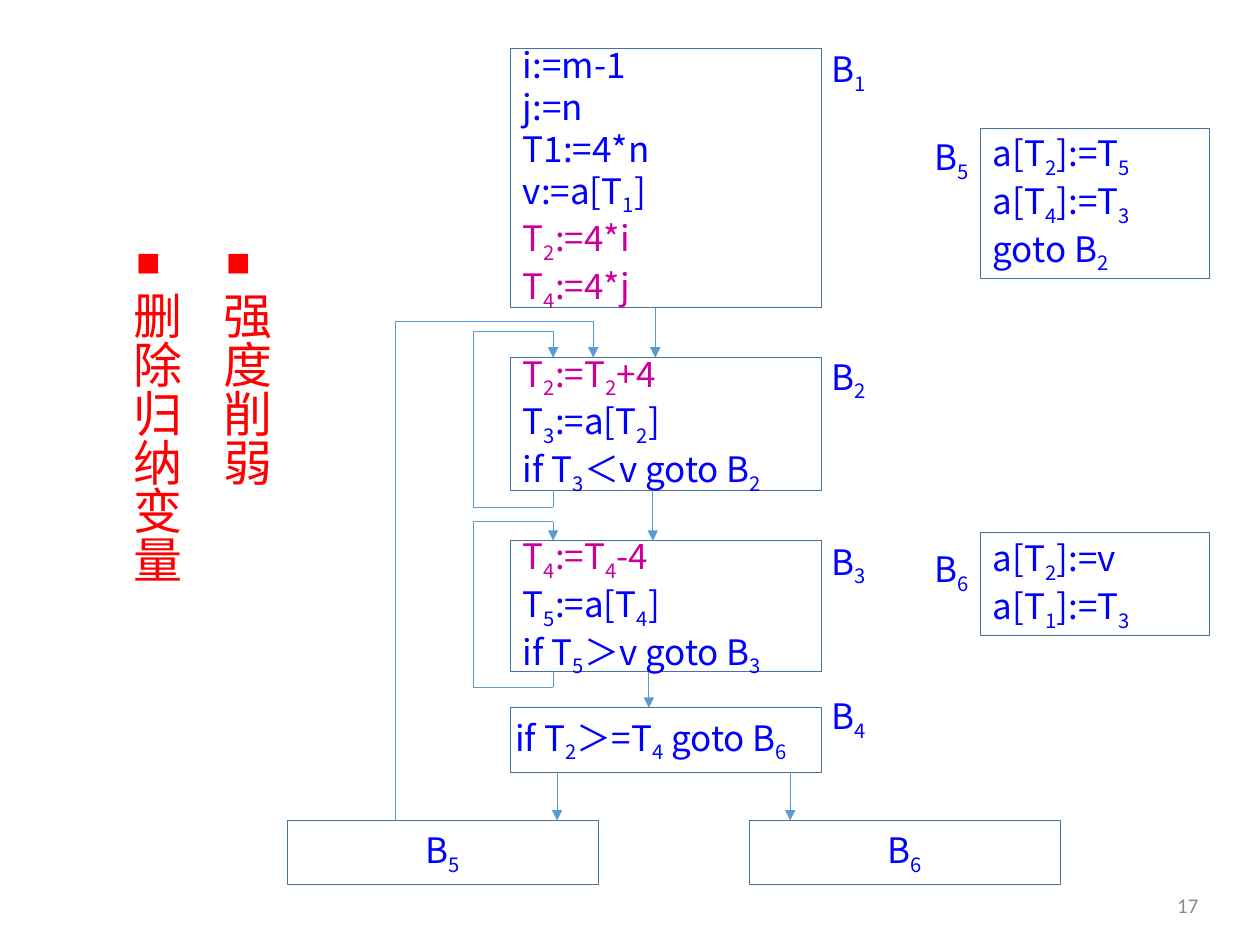
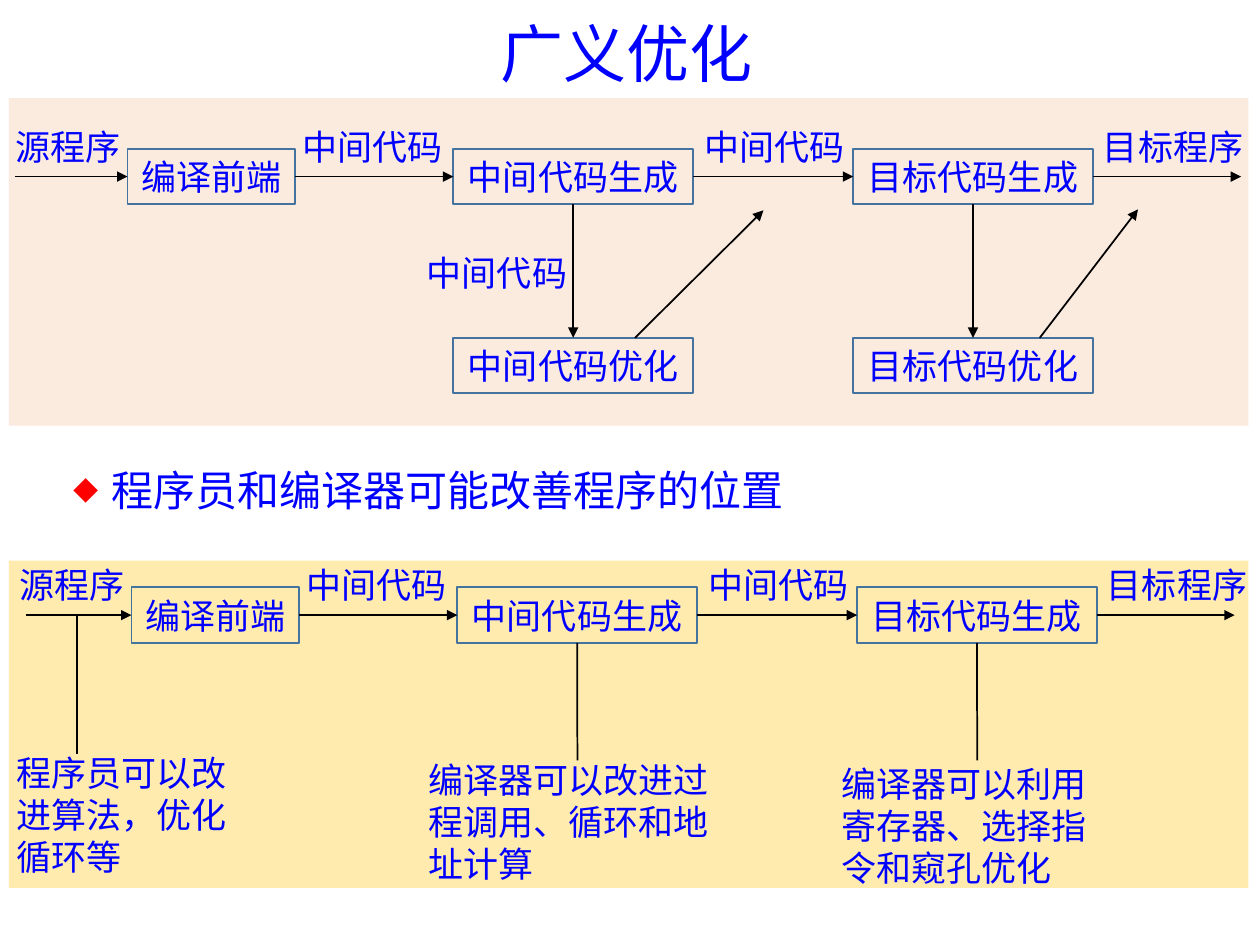
"""Build two slides: an optimised flow graph and an overview of optimisation in the broad sense."""
from pptx import Presentation
from pptx.dml.color import RGBColor
from pptx.enum.shapes import MSO_CONNECTOR as CONN, MSO_SHAPE as SHAPE
from pptx.enum.text import MSO_ANCHOR as ANCHOR, PP_ALIGN as ALIGN
from pptx.oxml import parse_xml
from pptx.oxml.ns import nsdecls, qn
from pptx.util import Cm, Pt

rgb = RGBColor.from_string
BLUE, RED, MAGENTA, GREY = "0000FF", "FF0000", "CC0099", "8C8C8C"
EDGE, FLOW, BLACK = "43739E", "5B9BD5", "000000"
SANS = "Noto Sans CJK SC"
INDUCTION = {"T_2:=4*i", "T_4:=4*j", "T_2:=T_2+4", "T_4:=T_4-4"}


def box(s, at, lines, kind=None, edge=None, fill=None, size=20, font=SANS,
        colour=BLUE, align=ALIGN.CENTER, bullet=None, inset=0.25):
    """Add a text box or shape; an underscore lowers the character after it."""
    at = [Cm(v) for v in at]
    if kind is None:
        sp = s.shapes.add_textbox(*at)
    else:
        sp = s.shapes.add_shape(kind, *at)
        sp.shadow.inherit = False
        sp.fill.background()
        sp.line.fill.background()
    if fill:
        sp.fill.solid()
        sp.fill.fore_color.rgb = rgb(fill)
        clr = sp._element.spPr.find(".//" + qn("a:srgbClr"))
        clr.append(parse_xml(f'<a:alpha {nsdecls("a")} val="79000"/>'))
    if edge:
        sp.line.color.rgb = rgb(EDGE)
        sp.line.width = Pt(edge)
    tf = sp.text_frame
    tf.word_wrap = True
    tf.vertical_anchor = ANCHOR.MIDDLE
    tf.margin_left = tf.margin_right = Cm(inset)
    for i, line in enumerate(lines):
        p = tf.paragraphs[0] if i == 0 else tf.add_paragraph()
        p.alignment = align
        if bullet:
            char, percent, hang, tint = bullet
            pPr = p._p.get_or_add_pPr()
            pPr.set("marL", str(Cm(hang)))
            pPr.set("indent", str(-Cm(hang)))
            for xml in (f'buClr {nsdecls("a")}><a:srgbClr val="{tint}"/></a:buClr>',
                        f'buSzPct {nsdecls("a")} val="{percent * 1000}"/>',
                        f'buFont {nsdecls("a")} typeface="{SANS}"/>',
                        f'buChar {nsdecls("a")} char="{char}"/>'):
                pPr.append(parse_xml("<a:" + xml))
        first, *rest = line.split("_")
        pieces = [(first, False)]
        for part in rest:
            pieces += [(part[0], True), (part[1:], False)]
        for text, lowered in pieces:
            if not text:
                continue
            r = p.add_run()
            r.text = text
            r.font.size = Pt(size)
            r.font.name = font
            r.font.color.rgb = rgb(MAGENTA if line in INDUCTION else colour)
            rPr = r._r.get_or_add_rPr()
            rPr.append(parse_xml(f'<a:ea {nsdecls("a")} typeface="{font}"/>'))
            if lowered:
                rPr.set("baseline", "-25000")
    return sp


def link(s, start, end, colour=BLACK, width=1, head=True):
    """Add a straight connector, with an arrowhead at its end if asked."""
    c = s.shapes.add_connector(CONN.STRAIGHT, *[Cm(v) for v in (*start, *end)])
    c.line.color.rgb = rgb(colour)
    c.line.width = Pt(width)
    if head:
        c.line._get_or_add_ln().append(parse_xml(f'<a:tailEnd {nsdecls("a")} type="triangle"/>'))
    c._element.spPr.append(parse_xml(f'<a:effectLst {nsdecls("a")}/>'))
    return c


prs = Presentation()
prs.slide_width, prs.slide_height = Cm(25.4), Cm(19.05)
blank = prs.slide_layouts[6]

s = prs.slides.add_slide(blank)
sp = box(s, (1.75, 4.98, 4.06, 8.2), ["强度削弱", "删除归纳变量"], size=28, colour=RED,
         align=ALIGN.LEFT, bullet=("■", 50, 0.64, RED))
tf = sp.text_frame
tf.vertical_anchor = ANCHOR.TOP
tf._txBody.bodyPr.set("vert", "eaVert")
for p in tf.paragraphs:
    p.space_after = Pt(18)
box(s, (23.01, 17.73, 1.4, 1.02), ["17"], size=12, font="Calibri", colour=GREY, align=ALIGN.RIGHT)

blocks = [
    ((10.29, 0.97, 6.27, 5.23), 0.25,
     ["i:=m-1", "j:=n", "T1:=4*n", "v:=a[T_1]", "T_2:=4*i", "T_4:=4*j"]),
    ((10.29, 7.21, 6.27, 2.67), 0.25, ["T_2:=T_2+4", "T_3:=a[T_2]", "if T_3＜v goto B_2"]),
    ((10.29, 10.9, 6.27, 2.64), 0.25, ["T_4:=T_4-4", "T_5:=a[T_4]", "if T_5＞v goto B_3"]),
    ((10.29, 14.27, 6.27, 1.3), 0.1, ["if T_2＞=T_4 goto B_6"]),
    ((19.76, 2.59, 4.62, 3.02), 0.25, ["a[T_2]:=T_5", "a[T_4]:=T_3", "goto B_2"]),
    ((19.76, 10.74, 4.62, 2.08), 0.25, ["a[T_2]:=v", "a[T_1]:=T_3"]),
]
for at, inset, code in blocks:
    box(s, at, code, SHAPE.RECTANGLE, edge=0.5, align=ALIGN.LEFT, inset=inset)
for x, name in ((5.79, "B_5"), (15.11, "B_6")):
    box(s, (x, 16.54, 6.27, 1.3), [name], SHAPE.RECTANGLE, edge=0.5)
block_labels = [(15.95, 0.79), (15.95, 6.99), (15.95, 10.72), (15.95, 13.84),
                (18.03, 2.57), (18.03, 10.87)]
for n, (x, y) in enumerate(block_labels, 1):
    box(s, (x, y, 2.31, 1.3), [f"B_{n}"])

routes = [[(7.98, 16.54), (7.98, 6.48), (11.96, 6.48), (11.96, 7.21)]]
for bottom, low, high, top in ((9.88, 10.22, 6.68, 7.21), (13.54, 13.85, 10.52, 10.9)):
    routes.append([(11.15, bottom), (11.15, low), (9.54, low),
                   (9.54, high), (11.15, high), (11.15, top)])
for x, y1, y2 in ((13.21, 6.2, 7.21), (13.16, 9.88, 10.9), (13.08, 13.54, 14.27),
                  (11.23, 15.57, 16.54), (15.93, 15.57, 16.54)):
    routes.append([(x, y1), (x, y2)])
for route in routes:
    for start, end in zip(route, route[1:]):
        link(s, start, end, FLOW, 0.5, head=end == route[-1])

s = prs.slides.add_slide(blank)
for y, tint in ((11.3, "FFE699"), (1.98, "FBE5D6")):
    box(s, (0.18, y, 24.99, 6.6), [], SHAPE.RECTANGLE, fill=tint)
title = box(s, (1.68, 0.41, 21.89, 1.47), ["广义优化"], size=36, font="Noto Sans CJK JP")
title.text_frame.paragraphs[0].line_spacing = 0.9
PROCESS = SHAPE.FLOWCHART_PROCESS
box(s, (1.24, 9.19, 14.88, 1.37), ["程序员和编译器可能改善程序的位置"], PROCESS, size=24,
    align=ALIGN.LEFT, bullet=("◆", 60, 0.76, RED))

pipelines = []
for dx, dy, x_in, x_out in ((0, 0, 0.3, 25.02), (0.08, 8.84, 0.53, 24.89)):
    stages = [box(s, (x + dx, 3 + dy, w, 1.12), [name], PROCESS, edge=1)
              for x, w, name in ((2.57, 3.38, "编译前端"), (9.14, 4.83, "中间代码生成"),
                                 (17.2, 4.83, "目标代码生成"))]
    for x, w, name in ((0, 2.74, "源程序"), (5.84, 3.35, "中间代码"),
                       (13.64, 3.96, "中间代码"), (21.9, 3.5, "目标程序")):
        box(s, (x + dx, 2.26 + dy, w, 1.37), [name], PROCESS)
    y = 3.56 + dy
    link(s, (x_in, y), (2.57 + dx, y)).end_connect(stages[0], 1)
    for left, right in zip(stages, stages[1:]):
        c = link(s, (0, y), (1, y))
        c.begin_connect(left, 3)
        c.end_connect(right, 1)
    link(s, (22.03 + dx, y), (x_out, y)).begin_connect(stages[-1], 3)
    pipelines.append(stages)

box(s, (8.23, 4.98, 3.58, 1.04), ["中间代码"], PROCESS)
optimisers = [(9.14, "中间代码优化", (12.8, 6.81), (15.39, 4.24)),
              (17.2, "目标代码优化", (20.96, 6.81), (22.94, 4.22))]
for stage, (x, name, start, end) in zip(pipelines[0][1:], optimisers):
    optimiser = box(s, (x, 6.81, 4.83, 1.12), [name], PROCESS, edge=1)
    c = link(s, (x, 4.12), (x, 6.81))
    c.begin_connect(stage, 2)
    c.end_connect(optimiser, 0)
    link(s, start, end)

notes = [((0.08, 15.24, 5.21, 2.36), "程序员可以改进算法，优化循环等"),
         ((8.38, 14.91, 6.45, 3.3), "编译器可以改进过程调用、循环和地址计算"),
         ((16.71, 15.27, 5.97, 2.74), "编译器可以利用寄存器、选择指令和窥孔优化")]
for at, text in notes:
    box(s, at, [text], PROCESS, align=ALIGN.LEFT)
link(s, (1.55, 12.4), (1.55, 15.19), head=False)
for stage, x in zip(pipelines[1][1:], (11.64, 19.7)):
    link(s, (x, 12.96), (x, 15.33), head=False).begin_connect(stage, 2)

prs.save("out.pptx")
